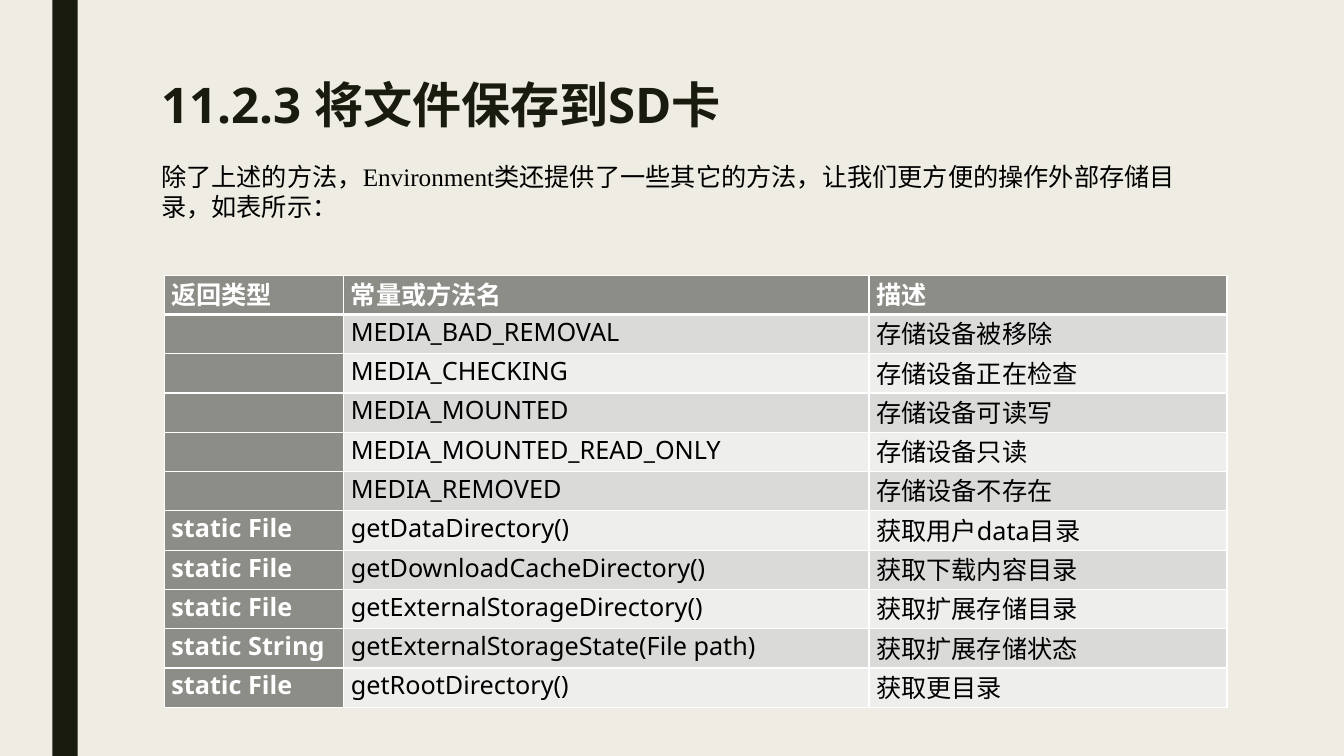
from lxml import etree
from pptx import Presentation
from pptx.dml.color import RGBColor
from pptx.enum.shapes import MSO_SHAPE
from pptx.enum.text import PP_ALIGN
from pptx.oxml.ns import qn
from pptx.util import Inches, Pt

RECTANGLE = MSO_SHAPE.RECTANGLE
LEFT, JUSTIFY = PP_ALIGN.LEFT, PP_ALIGN.JUSTIFY

CREAM, INK, BLACK, WHITE = "EFEDE3", "191B0E", "000000", "FFFFFF"
GREY, BANDS = "8C8D86", ("EEEEED", "DADBD9")
SANS, SERIF = "Noto Sans", "Times New Roman"

HEADINGS = ("返回类型", "常量或方法名", "描述")
MEMBERS = (
    ("", "MEDIA_BAD_REMOVAL", "存储设备被移除"),
    ("", "MEDIA_CHECKING", "存储设备正在检查"),
    ("", "MEDIA_MOUNTED", "存储设备可读写"),
    ("", "MEDIA_MOUNTED_READ_ONLY", "存储设备只读"),
    ("", "MEDIA_REMOVED", "存储设备不存在"),
    ("static File", "getDataDirectory()", "获取用户data目录"),
    ("static File", "getDownloadCacheDirectory()", "获取下载内容目录"),
    ("static File", "getExternalStorageDirectory()", "获取扩展存储目录"),
    ("static String", "getExternalStorageState(File path)", "获取扩展存储状态"),
    ("static File", "getRootDirectory()", "获取更目录"),
)


def color(hex_code):
    """Turn a hex string into a colour."""
    return RGBColor.from_string(hex_code)


def paint(target, hex_code):
    """Fill a shape, cell or background with one colour."""
    target.fill.solid()
    target.fill.fore_color.rgb = color(hex_code)


def border(cell, side, points):
    """Draw a white line on one side (L, R, T or B) of a cell."""
    line = etree.SubElement(cell._tc.get_or_add_tcPr(), qn(f"a:ln{side}"),
                            w=str(Pt(points)))
    solid = etree.SubElement(line, qn("a:solidFill"))
    etree.SubElement(solid, qn("a:srgbClr"), val=WHITE)


class SlideBuilder:
    """Holds the text style and the current slide."""

    def __init__(self, slide, size=18):
        """Start on a slide with a default text size."""
        self.slide, self.size = slide, size
        paint(slide.background, CREAM)

    def set_text(self, frame, text, font, hex_code, bold=False, size=None,
                 align=LEFT, spacing=None):
        """Put one formatted paragraph into a text frame."""
        paragraph = frame.paragraphs[0]
        paragraph.text = text
        paragraph.alignment = align
        if spacing:
            paragraph.line_spacing = spacing
        for run in paragraph.runs:
            run.font.name, run.font.bold = font, bold
            run.font.size = Pt(size or self.size)
            run.font.color.rgb = color(hex_code)

    def bar(self, left, top, width, height, hex_code):
        """Add a plain rectangle without outline."""
        bar = self.slide.shapes.add_shape(
            RECTANGLE, Inches(left), Inches(top), Inches(width), Inches(height))
        bar.shadow.inherit = False
        paint(bar, hex_code)
        bar.line.fill.background()

    def text(self, left, top, width, height, text, *style, **options):
        """Add a wrapping text box."""
        box = self.slide.shapes.add_textbox(
            Inches(left), Inches(top), Inches(width), Inches(height))
        box.text_frame.word_wrap = True
        self.set_text(box.text_frame, text, *style, **options)

    def table(self, left, top, widths, row_height, rows):
        """Add a table with a grey first row and column and banded body."""
        table = self.slide.shapes.add_table(
            len(rows), len(widths), Inches(left), Inches(top),
            Inches(sum(widths)), Inches(row_height * len(rows))).table
        for column, width in zip(table.columns, widths):
            column.width = Inches(width)
        for r, row in enumerate(rows):
            table.rows[r].height = Inches(row_height)
            for c, text in enumerate(row):
                self.cell(table.cell(r, c), r, c, text)

    def cell(self, cell, r, c, text):
        """Style one table cell by its row and column."""
        heading = r == 0 or c == 0
        cell.margin_left = cell.margin_right = Inches(0.07)
        cell.margin_top = cell.margin_bottom = 0
        for side in "LRTB":
            under_heading = (r, side) in ((0, "B"), (1, "T"))
            border(cell, side, 3 if under_heading else 1)
        paint(cell, GREY if heading else BANDS[r % 2])
        align = LEFT if r and c == 1 else JUSTIFY
        self.set_text(cell.text_frame, text, SANS, WHITE if heading else BLACK,
                      bold=heading, align=align)


deck = Presentation()
deck.slide_width, deck.slide_height = Inches(13.33), Inches(7.5)
page = SlideBuilder(deck.slides.add_slide(deck.slide_layouts[6]))

page.bar(0.52, 0, 0.25, 7.5, INK)
page.text(1.5, 0.76, 10.5, 1.02, "11.2.3 将文件保存到SD卡", SANS, INK,
          bold=True, size=35.1, spacing=0.89)
page.table(1.63, 2.73, (1.78, 5.21, 3.55), 0.39, (HEADINGS, *MEMBERS))
page.text(1.5, 1.55, 10.5, 0.71,
          "除了上述的方法，Environment类还提供了一些其它的方法，"
          "让我们更方便的操作外部存储目录，如表所示：", SERIF, BLACK)

deck.save("out.pptx")
